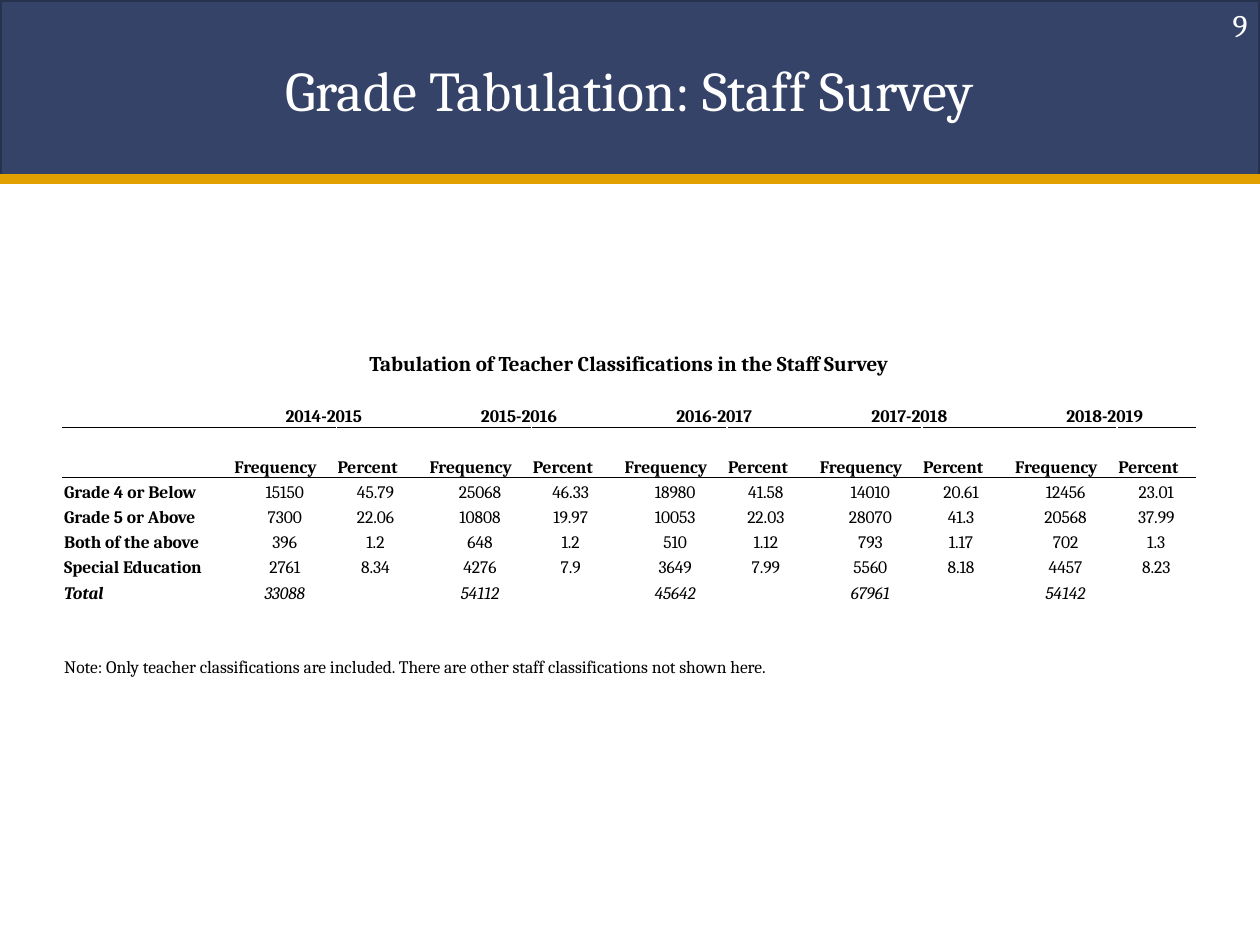
from dataclasses import dataclass

from lxml import etree
from pptx import Presentation
from pptx import util as u
from pptx.dml.color import RGBColor
from pptx.enum import shapes, text
from pptx.oxml import ns


@dataclass(frozen=True)
class Theme:
    font: str = "Cambria"
    navy: str = "354369"
    navy_edge: str = "27324E"
    gold: str = "E2A100"
    white: str = "FFFFFF"
    black: str = "000000"
    title_size: int = 32
    number_size: int = 18
    caption_size: int = 12
    table_size: int = 10


THEME = Theme()
TITLE = "Grade Tabulation: Staff Survey"
PAGE_NUMBER = "9"
CAPTION = "Tabulation of Teacher Classifications in the Staff Survey"
NOTE = ("Note: Only teacher classifications are included. "
        "There are other staff classifications not shown here.")
YEARS = ["2014-2015", "2015-2016", "2016-2017", "2017-2018", "2018-2019"]
MEASURES = ["Frequency", "Percent"]
GRADES = [
    ("Grade 4 or Below", [("15150", "45.79"), ("25068", "46.33"), ("18980", "41.58"),
                          ("14010", "20.61"), ("12456", "23.01")]),
    ("Grade 5 or Above", [("7300", "22.06"), ("10808", "19.97"), ("10053", "22.03"),
                          ("28070", "41.3"), ("20568", "37.99")]),
    ("Both of the above", [("396", "1.2"), ("648", "1.2"), ("510", "1.12"),
                           ("793", "1.17"), ("702", "1.3")]),
    ("Special Education", [("2761", "8.34"), ("4276", "7.9"), ("3649", "7.99"),
                           ("5560", "8.18"), ("4457", "8.23")]),
    ("Total", [("33088",), ("54112",), ("45642",), ("67961",), ("54142",)]),
]

CAPTION_ROW, YEAR_ROW, MEASURE_ROW, FIRST_GRADE_ROW, NOTE_ROW = 0, 2, 4, 5, 11
COLUMN_WIDTHS = [1.35] + ([0.82, 0.62, 0.11] * len(YEARS))[:-1]
ROW_HEIGHTS = [0.24] + [0.2] * 10 + [0.39]
RULES = {YEAR_ROW: "lnB", YEAR_ROW + 1: "lnT", MEASURE_ROW: "lnB", FIRST_GRADE_ROW: "lnT"}
LEFT, CENTER, RIGHT = text.PP_ALIGN.LEFT, text.PP_ALIGN.CENTER, text.PP_ALIGN.RIGHT


def color(value):
    return RGBColor.from_string(value)


def write(frame, words, size, ink, align=LEFT, bold=False, italic=False):
    frame.text = words
    para = frame.paragraphs[0]
    para.alignment = align
    for span in para.runs:
        span.font.name = THEME.font
        span.font.size = u.Pt(size)
        span.font.color.rgb = color(ink)
        span.font.bold = bold
        span.font.italic = italic


def fill_cell(row, column, words, align=LEFT, size=THEME.table_size, bold=False, italic=False):
    write(table.cell(row, column).text_frame, words, size, THEME.black, align, bold, italic)


def add_rule(cell, side):
    line = etree.SubElement(cell._tc.get_or_add_tcPr(), ns.qn(f"a:{side}"), w=str(u.Pt(0.5)))
    fill = etree.SubElement(line, ns.qn("a:solidFill"))
    etree.SubElement(fill, ns.qn("a:srgbClr"), val=THEME.black)


deck = Presentation()
deck.slide_width, deck.slide_height = u.Inches(10), u.Inches(7.5)
page = deck.slides.add_slide(deck.slide_layouts[5])

band = page.shapes.add_shape(shapes.MSO_SHAPE.RECTANGLE, 0, 0, u.Inches(10), u.Inches(1.42))
band.shadow.inherit = False
band.fill.solid()
band.fill.fore_color.rgb = color(THEME.navy)
band.line.color.rgb = color(THEME.navy_edge)
band.line.width = u.Pt(2)

stripe = page.shapes.add_connector(shapes.MSO_CONNECTOR.STRAIGHT, u.Inches(-0.02),
                                   u.Inches(1.42), u.Inches(10.03), u.Inches(1.42))
stripe.line.color.rgb = color(THEME.gold)
stripe.line.width = u.Pt(6)
etree.SubElement(stripe._element.spPr, ns.qn("a:effectLst"))

title = page.shapes.title
title.left, title.top, title.width, title.height = map(u.Inches, (0.5, 0.08, 9, 1.25))
title.text_frame.vertical_anchor = text.MSO_ANCHOR.MIDDLE
write(title.text_frame, TITLE, THEME.title_size, THEME.white, CENTER)
page.shapes._spTree.append(title._element)

table = page.shapes.add_table(len(ROW_HEIGHTS), len(COLUMN_WIDTHS), u.Inches(0.5),
                              u.Inches(2.75), u.Inches(9), u.Inches(2.63)).table
table.first_row = table.horz_banding = False
for column, width in zip(table.columns, COLUMN_WIDTHS):
    column.width = u.Inches(width)
for index, (row, height) in enumerate(zip(table.rows, ROW_HEIGHTS)):
    row.height = u.Inches(height)
    for cell in row.cells:
        if index in RULES:
            add_rule(cell, RULES[index])
        cell.fill.background()
        cell.vertical_anchor = text.MSO_ANCHOR.BOTTOM
        cell.margin_left = cell.margin_right = cell.margin_top = u.Inches(0.01)
        cell.margin_bottom = 0
        etree.SubElement(cell.text_frame.paragraphs[0]._p, ns.qn("a:endParaRPr"),
                         sz=str(THEME.table_size * 100))

table.cell(CAPTION_ROW, 0).merge(table.cell(CAPTION_ROW, len(COLUMN_WIDTHS) - 1))
fill_cell(CAPTION_ROW, 0, CAPTION, CENTER, THEME.caption_size, bold=True)
table.cell(NOTE_ROW, 0).merge(table.cell(NOTE_ROW, 9))
fill_cell(NOTE_ROW, 0, NOTE)

for index, year in enumerate(YEARS):
    first = 1 + 3 * index
    table.cell(YEAR_ROW, first).merge(table.cell(YEAR_ROW, first + 1))
    fill_cell(YEAR_ROW, first, year, CENTER, bold=True)
    for offset, measure in enumerate(MEASURES):
        fill_cell(MEASURE_ROW, first + offset, measure, bold=True)

for row, (grade, pairs) in enumerate(GRADES, FIRST_GRADE_ROW):
    is_total = grade == "Total"
    fill_cell(row, 0, grade, bold=True, italic=is_total)
    for index, pair in enumerate(pairs):
        for offset, value in enumerate(pair):
            fill_cell(row, 1 + 3 * index + offset, value, CENTER, italic=is_total)

number = page.shapes.add_textbox(u.Inches(7.67), 0, u.Inches(2.33), u.Inches(0.4))
number.text_frame.word_wrap = True
number.text_frame.vertical_anchor = text.MSO_ANCHOR.MIDDLE
write(number.text_frame, PAGE_NUMBER, THEME.number_size, THEME.white, RIGHT)

deck.save("out.pptx")
